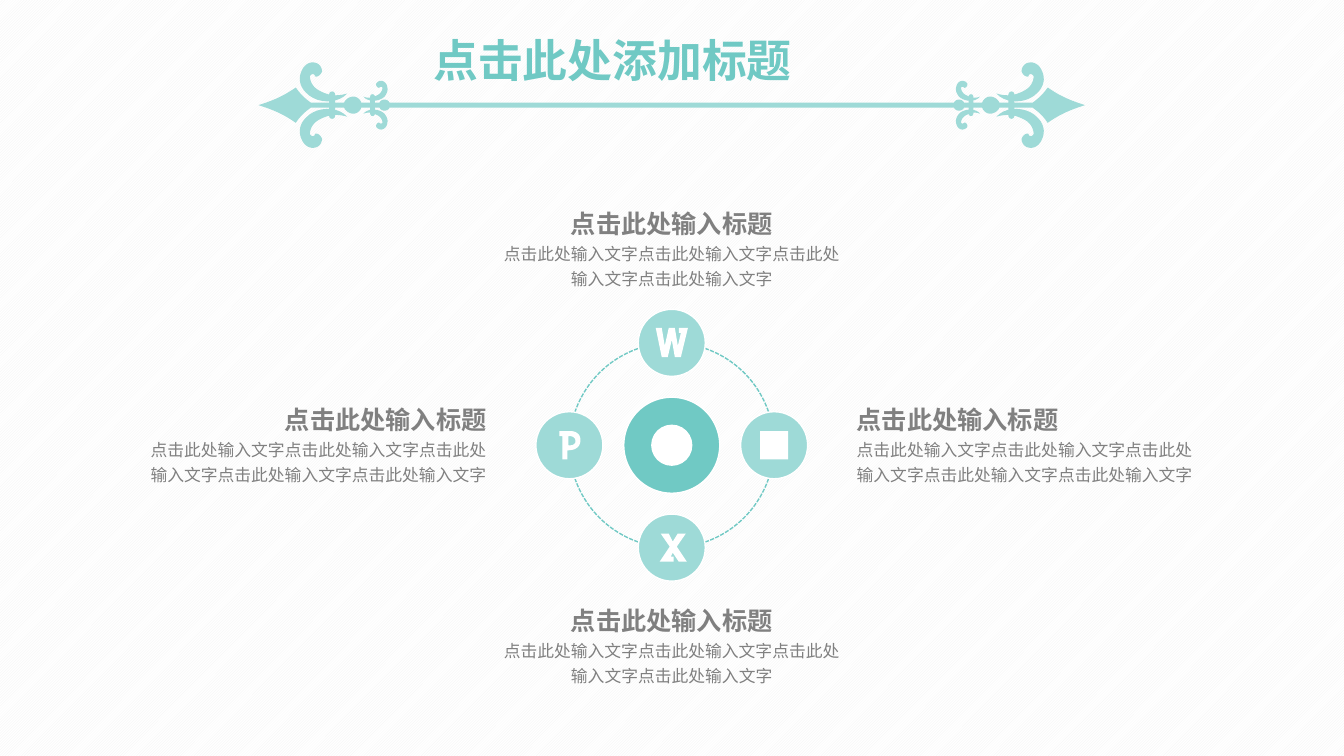
from dataclasses import dataclass
from typing import Optional

from pptx import Presentation
from pptx.dml.color import RGBColor
from pptx.enum.dml import MSO_LINE, MSO_PATTERN
from pptx.enum.shapes import MSO_SHAPE as Preset
from pptx.enum.text import MSO_AUTO_SIZE as AutoSize, PP_ALIGN as Align
from pptx.util import Cm, Pt

Point = tuple[float, float]
Outline = list[Point]

TEAL, PALE_TEAL, WHITE, GREY, STRIPE = "70C9C4", "9EDAD7", "FFFFFF", "808080", "F2F2F2"
FONT = "Calibri"
GRAIN = 0.0254  # cm per unit of the outlines below
MIDDLE_X, HUB_Y = 16.93, 11.22
RING_RADIUS = 2.58
ROD_Y = 2.65
CURVE_STEPS = 10


@dataclass
class Caption:
    left: float
    top: float
    align: Align
    repeats: int


@dataclass
class Satellite:
    across: int
    down: int
    letter: Optional[list[Outline]]


def color(value: str) -> RGBColor:
    return RGBColor.from_string(value)


def trace(start: Point, *steps: tuple) -> Outline:
    """Two numbers make a straight step, six make a cubic curve."""
    points = [start]
    for step in steps:
        if len(step) == 2:
            points.append(step)
            continue
        (x0, y0), (x1, y1, x2, y2, x3, y3) = points[-1], step
        for i in range(1, CURVE_STEPS + 1):
            t = i / CURVE_STEPS
            a, b, c, d = (1 - t) ** 3, 3 * t * (1 - t) ** 2, 3 * t * t * (1 - t), t ** 3
            points.append((a * x0 + b * x1 + c * x2 + d * x3,
                           a * y0 + b * y1 + c * y2 + d * y3))
    return points


def flip(outline: Outline, sx: int, sy: int) -> Outline:
    return [(sx * x, sy * y) for x, y in outline]


def paint(shape, fill: Optional[str], line: Optional[str] = None) -> None:
    shape.shadow.inherit = False
    if fill:
        shape.fill.solid()
        shape.fill.fore_color.rgb = color(fill)
    else:
        shape.fill.background()
    if line:
        shape.line.color.rgb = color(line)
        shape.line.width = Pt(1)
    else:
        shape.line.fill.background()


def add_outline(shapes, contours: list[Outline], x: float, y: float, fill: str) -> None:
    placed = [[(Cm(x + px * GRAIN), Cm(y + py * GRAIN)) for px, py in contour]
              for contour in contours]
    builder = shapes.build_freeform(*placed[0][0])
    builder.add_line_segments(placed[0][1:])
    for hole in placed[1:]:
        builder.move_to(*hole[0])
        builder.add_line_segments(hole[1:])
    paint(builder.convert_to_shape(), fill)


def add_centred(shapes, preset: Preset, x: float, y: float, width: float, height: float,
                fill: Optional[str], line: Optional[str] = None):
    shape = shapes.add_shape(preset, Cm(x - width / 2), Cm(y - height / 2),
                             Cm(width), Cm(height))
    paint(shape, fill, line)
    return shape


def add_text_frame(shapes, left: float, top: float, width: float, height: float):
    frame = shapes.add_textbox(Cm(left), Cm(top), Cm(width), Cm(height)).text_frame
    frame.word_wrap = True
    frame.auto_size = AutoSize.SHAPE_TO_FIT_TEXT
    return frame


def write(paragraph, text: str, size: int, ink: str, bold: bool, align: Align) -> None:
    paragraph.text = text
    paragraph.alignment = align
    font = paragraph.font
    font.name, font.size, font.bold = FONT, Pt(size), bold
    font.color.rgb = color(ink)


def add_caption(shapes, caption: Caption) -> None:
    frame = add_text_frame(shapes, caption.left, caption.top, 9.28, 2.49)
    heading, body = frame.paragraphs[0], frame.add_paragraph()
    write(heading, "点击此处输入标题", 18, GREY, True, caption.align)
    write(body, "点击此处输入文字" * caption.repeats, 12, GREY, False, caption.align)
    heading.line_spacing = body.line_spacing = 1.25


def add_satellite(shapes, satellite: Satellite) -> None:
    x = MIDDLE_X + satellite.across * RING_RADIUS
    y = HUB_Y + satellite.down * RING_RADIUS
    add_centred(shapes, Preset.OVAL, x, y, 1.69, 1.69, PALE_TEAL, WHITE)
    if satellite.letter:
        add_outline(shapes, satellite.letter, x, y, WHITE)
    else:
        add_centred(shapes, Preset.RECTANGLE, x, y, 0.71, 0.71, WHITE)


# Letters, measured from the centre of their circle
LETTER_W = [trace((7, -10), (9, -10), (6, 3), (3, -15), (-3, -15), (-7, 3), (-10, -15),
                  (-16, -15), (-10, 14), (-4, 14), (0, -3), (3, 14), (9, 14),
                  (16, -15), (7, -15))]
LETTER_X = [trace((14, -14), (6, -14), (1, -6), (-3, -14), (-11, -14), (-2, -1), (-12, 14),
                  (2, 14), (2, 9), (-1, 9), (1, 5), (7, 14), (15, 14), (5, -1))]
LETTER_P = [trace((-2, 14), (-2, 5), (-2, 5, 11, 6, 11, -5), (11, -14, 2, -14, 2, -14),
                  (-10, -14), (-10, -9), (-7, -9), (-7, 14)),
            trace((6, -4), (6, -10, -1, -9, -1, -9), (-1, 0), (-1, 0, 6, 1, 6, -4))]

# Ornament, one quarter, measured from the middle of the rod
ROD = trace((-410, 0), (-396, 4.5, -386, 8.5, -373, 17.5), (-369, 11.5, -364, 6.5, -358, 2.5),
            (-325, 2.5), (-324, 5.5, -320, 8.5, -316, 8.5), (-312, 8.5, -309, 5.5, -308, 2.5),
            (-290, 2.5), (-289, 4.5, -287, 5.5, -285, 5.5), (-283, 5.5, -281, 4.5, -280, 2.5))
LARGE_SCROLL = trace((-354, 28.5), (-354, 31.5, -358, 31.5, -359, 28.5),
                     (-359, 24.5, -357, 17.5, -348, 13.5), (-340, 9.5, -332, 8.5, -322, 11.5),
                     (-332, 0.5, -353, 1.5, -363, 12.5), (-369, 18.5, -371, 26.5, -367, 34.5),
                     (-365, 39.5, -359, 44.5, -352, 41.5), (-348, 39.5, -347, 35.5, -347, 33.5),
                     (-348, 30.5, -351, 27.5, -354, 28.5))
SMALL_SCROLL = trace((-290, 17.5), (-289, 18.5, -288, 18.5, -287, 17.5),
                     (-287, 15.5, -288, 11.5, -293, 9.5), (-297, 7.5, -301, 6.5, -306, 8.5),
                     (-301, 2.5, -290, 3.5, -285, 8.5), (-282, 12.5, -281, 15.5, -283, 20.5),
                     (-284, 22.5, -287, 25.5, -291, 23.5), (-293, 22.5, -294, 20.5, -293, 19.5),
                     (-293, 18.5, -291, 16.5, -290, 17.5))
BANDS = [(8.56, 0.15, 0.69), (7.54, 0.12, 0.55)]  # distance from middle, width, height

CAPTIONS = [
    Caption(3.23, 9.88, Align.RIGHT, 5),
    Caption(21.34, 9.88, Align.LEFT, 5),
    Caption(12.29, 14.94, Align.CENTER, 4),
    Caption(12.29, 4.93, Align.CENTER, 4),
]
SATELLITES = [
    Satellite(-1, 0, LETTER_P),
    Satellite(0, 1, LETTER_X),
    Satellite(0, -1, LETTER_W),
    Satellite(1, 0, None),
]


def main() -> None:
    deck = Presentation()
    deck.slide_width, deck.slide_height = Cm(33.87), Cm(19.05)
    slide = deck.slides.add_slide(deck.slide_layouts[6])
    shapes = slide.shapes

    # Striped background
    stripes = slide.background.fill
    stripes.patterned()
    stripes.pattern = MSO_PATTERN.DARK_UPWARD_DIAGONAL
    stripes.fore_color.rgb, stripes.back_color.rgb = color(STRIPE), color(WHITE)

    # Ring, captions, satellites and hub
    ring = add_centred(shapes, Preset.OVAL, MIDDLE_X, HUB_Y,
                       2 * RING_RADIUS, 2 * RING_RADIUS, None, TEAL)
    ring.line.dash_style = MSO_LINE.SQUARE_DOT
    for caption in CAPTIONS:
        add_caption(shapes, caption)
    for satellite in SATELLITES:
        add_satellite(shapes, satellite)
    add_centred(shapes, Preset.OVAL, MIDDLE_X, HUB_Y, 2.42, 2.42, TEAL, WHITE)
    add_centred(shapes, Preset.OVAL, MIDDLE_X, HUB_Y, 1.04, 1.04, WHITE)

    # Title
    title = add_text_frame(shapes, 10.67, 0.71, 12.52, 1.63)
    write(title.paragraphs[0], "点击此处添加标题", 32, TEAL, True, Align.JUSTIFY)

    # Ornament under the title
    rod = ROD + flip(ROD, -1, 1)[::-1] + flip(ROD, -1, -1) + flip(ROD, 1, -1)[::-1]
    add_outline(shapes, [rod], MIDDLE_X, ROD_Y, PALE_TEAL)
    for side in (1, -1):
        for scroll in (LARGE_SCROLL, SMALL_SCROLL):
            halves = [flip(scroll, side, 1), flip(scroll, side, -1)]
            add_outline(shapes, halves, MIDDLE_X, ROD_Y, PALE_TEAL)
        for distance, width, height in BANDS:
            band = add_centred(shapes, Preset.ROUNDED_RECTANGLE, MIDDLE_X - side * distance,
                               ROD_Y, width, height, PALE_TEAL)
            band.adjustments[0] = 0.5

    deck.save("out.pptx")


if __name__ == "__main__":
    main()
